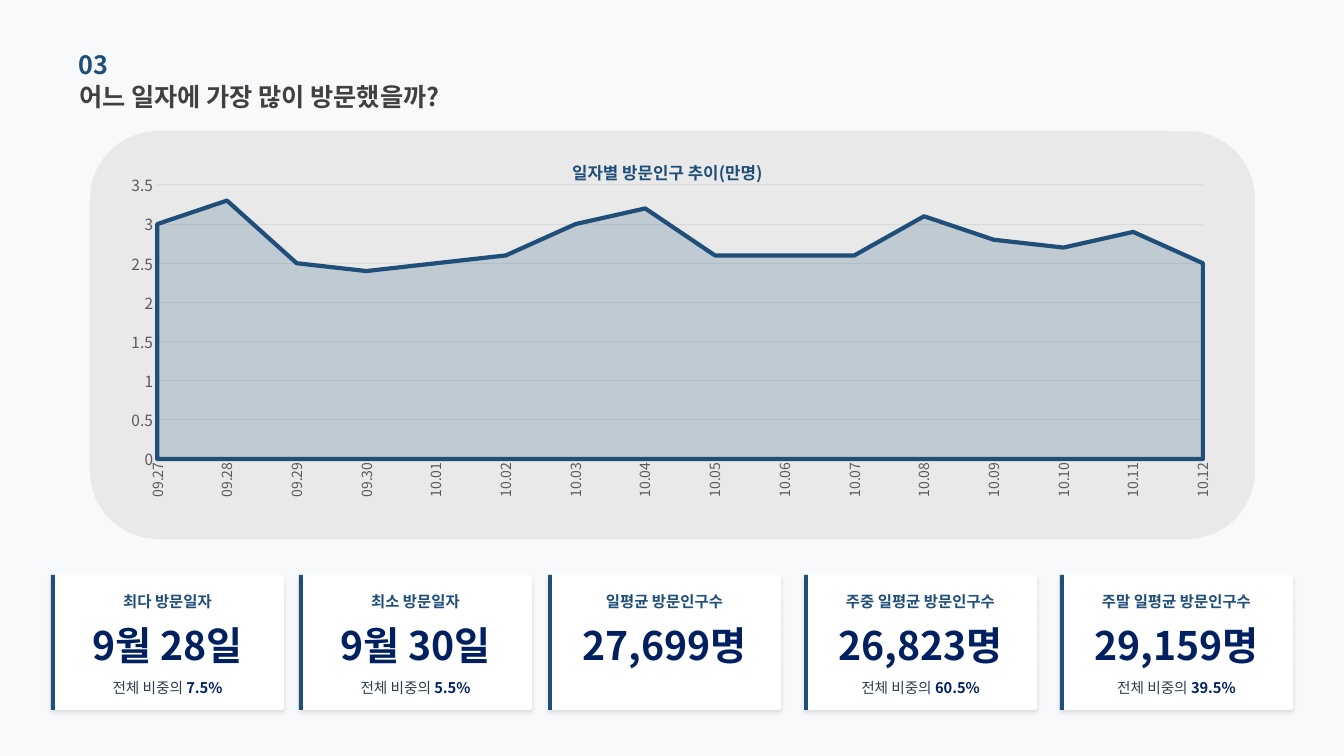
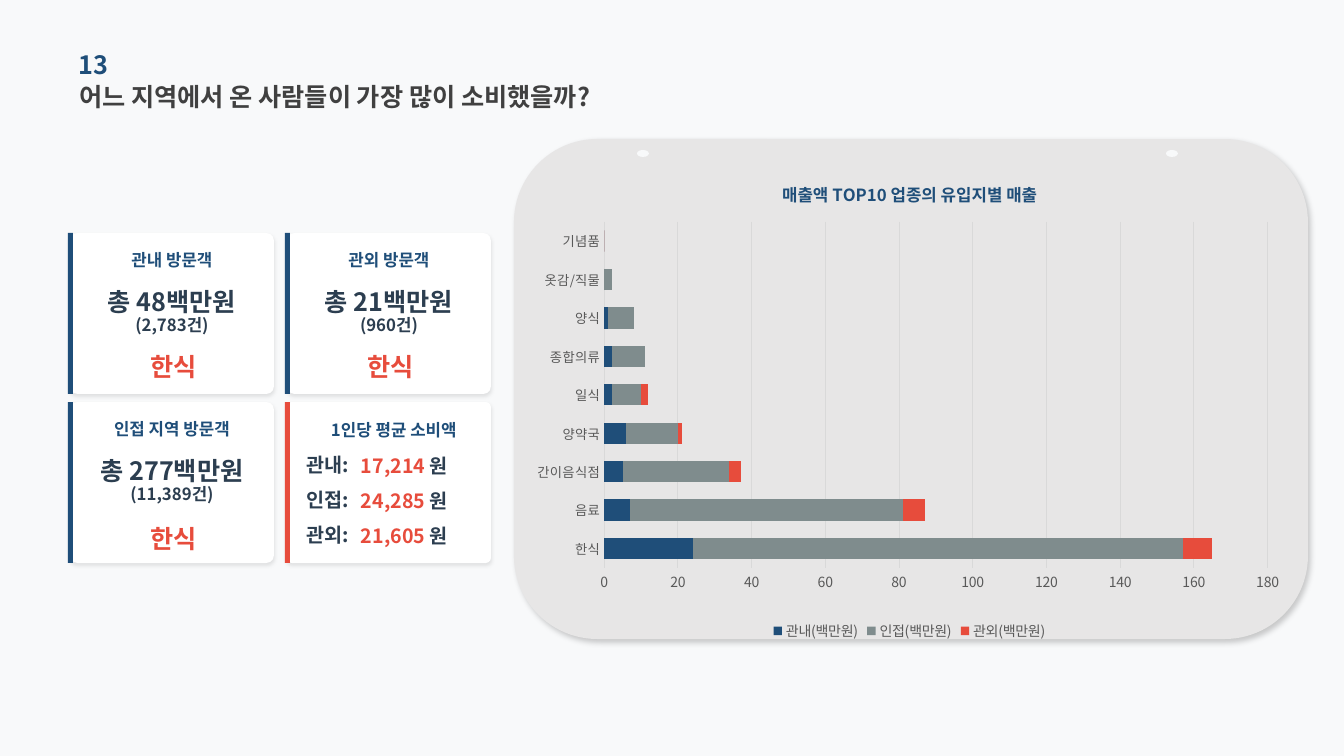
import pptx
import pptx.chart.data
import pptx.dml.color
import pptx.enum.chart
import pptx.enum.shapes
import pptx.enum.text
import pptx.oxml.ns
import pptx.util
from lxml import etree

EMU_PER_PX = 914400 / 100.8
SLIDE_W, SLIDE_H = 1344, 756
FONT = "Noto Sans CJK KR"
COLORS = {
    "page": "F8F9FA", "navy": "1F4E79", "deep": "002060", "ink": "2C3E50",
    "heading": "404040", "red": "E74C3C", "gray": "7F8C8D", "label": "595959",
    "rule": "D9D9D9", "white": "FFFFFF", "panel": "E7E6E6", "haze": "D0CECE",
    "black": "000000",
}
FORMATS = {
    "number": {"size": 18, "color": "navy", "bold": True},
    "heading": {"size": 18, "color": "heading", "bold": True},
    "caption": {"size": 11, "color": "navy", "bold": True},
    "figure": {"size": 28, "color": "deep", "bold": True},
    "note": {"size": 10.5, "color": "ink", "bold": False},
    "share": {"size": 10.5, "color": "deep", "bold": True},
    "card_title": {"size": 12, "color": "navy", "bold": True},
    "total": {"size": 18, "color": "ink", "bold": True},
    "count": {"size": 12, "color": "ink", "bold": True},
    "genre": {"size": 18, "color": "red", "bold": True},
    "region": {"size": 14, "color": "ink", "bold": True},
    "amount": {"size": 14, "color": "red", "bold": True},
    "axis_10": {"size": 10, "color": "label", "bold": False},
    "axis_9": {"size": 9.5, "color": "label", "bold": False},
    "axis_11": {"size": 11, "color": "label", "bold": False},
    "chart_title": {"size": 12, "color": "navy", "bold": True},
}
SHAPES = pptx.enum.shapes.MSO_SHAPE
ALIGN = pptx.enum.text.PP_ALIGN
CHARTS = pptx.enum.chart
qn = pptx.oxml.ns.qn


# Shared helpers
def px(length):
    return pptx.util.Emu(round(length * EMU_PER_PX))


def rgb(name):
    return pptx.dml.color.RGBColor.from_string(COLORS[name])


def apply_format(font, name):
    values = FORMATS[name]
    settings = {"size": pptx.util.Pt(values["size"]), "bold": values["bold"], "name": FONT}
    for attribute, value in settings.items():
        setattr(font, attribute, value)
    font.color.rgb = rgb(values["color"])
    east_asian = etree.Element(qn("a:ea"), typeface=FONT)
    font._rPr.find(qn("a:latin")).addnext(east_asian)


def add_alpha(fill, percent):
    color = fill._xPr.find(qn("a:solidFill"))[0]
    etree.SubElement(color, qn("a:alpha"), val=str(percent * 1000))


def add_block(slide, kind, box, color, radius=None, alpha=None, shadow=None):
    block = slide.shapes.add_shape(kind, *map(px, box))
    block.shadow.inherit = False
    block.fill.solid()
    block.fill.fore_color.rgb = rgb(color)
    block.line.fill.background()
    if radius is not None:
        block.adjustments[0] = radius
    if alpha is not None:
        add_alpha(block.fill, alpha)
    if shadow:
        opacity, blur, distance, angle = shadow
        effects = block._element.spPr.find(qn("a:effectLst"))
        outer = etree.SubElement(
            effects, qn("a:outerShdw"), blurRad=str(blur * 12700),
            dist=str(distance * 12700), dir=str(angle * 60000), algn="tl", rotWithShape="0")
        tint = etree.SubElement(outer, qn("a:srgbClr"), val=COLORS["black"])
        etree.SubElement(tint, qn("a:alpha"), val=str(opacity * 1000))


def add_text(slide, box, lines, align=ALIGN.CENTER):
    """Each line is a list of (text, format name) runs."""
    frame = slide.shapes.add_textbox(*map(px, box)).text_frame
    settings = {
        "word_wrap": True, "vertical_anchor": pptx.enum.text.MSO_ANCHOR.MIDDLE,
        "margin_left": 0, "margin_right": 0, "margin_top": 0, "margin_bottom": 0,
    }
    for attribute, value in settings.items():
        setattr(frame, attribute, value)
    paragraph = frame.paragraphs[0]
    paragraph.alignment = align
    if len(lines) > 1:
        paragraph.line_spacing = 0.9
    for index, runs in enumerate(lines):
        if index:
            paragraph.add_line_break()
        for text, name in runs:
            run = paragraph.add_run()
            run.text = text
            apply_format(run.font, name)


def add_page(deck, number, heading):
    slide = deck.slides.add_slide(deck.slide_layouts[6])
    slide.background.fill.solid()
    slide.background.fill.fore_color.rgb = rgb("page")
    add_text(slide, (79, 44, 456, 41), [[(number, "number")]], ALIGN.LEFT)
    add_text(slide, (79, 76, 540, 41), [[(heading, "heading")]], ALIGN.LEFT)
    return slide


def add_card(slide, box, radius, accent, accent_box):
    left, top, _, height = box
    offset, width = accent_box
    add_block(slide, SHAPES.ROUNDED_RECTANGLE, box, "white", radius, shadow=(10, 3, 2, 90))
    add_block(slide, SHAPES.RECTANGLE, (left + offset, top, width, height), accent)


# Charts
def make_layout(values, inner=False):
    layout = etree.Element(qn("c:layout"))
    manual = etree.SubElement(layout, qn("c:manualLayout"))
    if inner:
        etree.SubElement(manual, qn("c:layoutTarget"), val="inner")
    for tag in ("xMode", "yMode"):
        etree.SubElement(manual, qn("c:" + tag), val="edge")
    for tag, value in zip("xywh", values):
        etree.SubElement(manual, qn("c:" + tag), val=str(value))
    return layout


def drop_layout(parent):
    for layout in parent.findall(qn("c:layout")):
        parent.remove(layout)


def add_styled_chart(slide, kind, box, categories, series, title, title_at, plot_at,
                     category_format, value_format, top_value, step):
    data = pptx.chart.data.CategoryChartData()
    data.categories = categories
    for name, values in series:
        data.add_series(name, values)
    chart = slide.shapes.add_chart(kind, *map(px, box), data).chart
    apply_format(chart.font, "axis_10")
    chart.has_legend = False
    chart.plots[0].vary_by_categories = False

    # Title and plot placement
    chart.has_title = True
    frame = chart.chart_title.text_frame
    frame.text = title
    apply_format(frame.paragraphs[0].runs[0].font, "chart_title")
    title_element = chart.chart_title._element
    drop_layout(title_element)
    title_element.find(qn("c:tx")).addnext(make_layout(title_at))
    chart_element = chart.element.find(qn("c:chart"))
    plot_area = chart_element.find(qn("c:plotArea"))
    drop_layout(plot_area)
    plot_area.insert(0, make_layout(plot_at, inner=True))

    # Clear background
    background = etree.Element(qn("c:spPr"))
    etree.SubElement(background, qn("a:noFill"))
    border = etree.SubElement(background, qn("a:ln"))
    etree.SubElement(border, qn("a:noFill"))
    chart_element.addnext(background)

    # Axes
    value_axis = chart.value_axis
    limits = {"minimum_scale": 0, "maximum_scale": top_value, "major_unit": step,
              "has_major_gridlines": True}
    for attribute, value in limits.items():
        setattr(value_axis, attribute, value)
    for axis, name in ((chart.category_axis, category_format), (value_axis, value_format)):
        axis.major_tick_mark = CHARTS.XL_TICK_MARK.NONE
        axis.minor_tick_mark = CHARTS.XL_TICK_MARK.NONE
        apply_format(axis.tick_labels.font, name)
    value_axis.format.line.fill.background()
    for line in (chart.category_axis.format.line, value_axis.major_gridlines.format.line):
        line.color.rgb = rgb("rule")
        line.width = pptx.util.Pt(0.75)
    return chart


def add_visitor_trend(slide, box):
    days = [f"09.{day:02}" for day in range(27, 31)] + [f"10.{day:02}" for day in range(1, 13)]
    visitors = (3, 3.3, 2.5, 2.4, 2.5, 2.6, 3, 3.2, 2.6, 2.6, 2.6, 3.1, 2.8, 2.7, 2.9, 2.5)
    left, top, width, height = box
    add_block(slide, SHAPES.ROUNDED_RECTANGLE, box, "haze", alpha=36)
    chart = add_styled_chart(
        slide, CHARTS.XL_CHART_TYPE.AREA, (left + 19, top + 3, width - 43, height + 3),
        days, [("방문인구", visitors)], "일자별 방문인구 추이(만명)",
        (0.41, 0.05), (0.043, 0.124, 0.932, 0.667), "axis_10", "axis_11", 3.5, 0.5)
    trend = chart.plots[0].series[0].format
    trend.fill.solid()
    trend.fill.fore_color.rgb = rgb("navy")
    add_alpha(trend.fill, 20)
    trend.line.color.rgb = rgb("navy")
    trend.line.width = pptx.util.Pt(3)
    labels = chart.category_axis._element.find(qn("c:txPr")).find(qn("a:bodyPr"))
    labels.set("rot", "-5400000")
    labels.set("vert", "horz")
    chart.value_axis._element.find(qn("c:crossBetween")).set("val", "midCat")


def add_sales_by_origin(slide, box):
    trades = ("한식", "음료", "간이음식점", "양약국", "일식", "종합의류", "양식", "옷감/직물", "기념품")
    sales = [
        ("관내(백만원)", (24, 7, 5, 6, 2, 2, 1, 0, 0)),
        ("인접(백만원)", (133, 74, 29, 14, 8, 9, 7, 2, 0)),
        ("관외(백만원)", (8, 6, 3, 1, 2, 0, 0, 0, 0)),
    ]
    left, top, width, height = box
    add_block(slide, SHAPES.ROUNDED_RECTANGLE, box, "panel", shadow=(20, 4, 3, 45))
    for offset in (123, 652):
        add_block(slide, SHAPES.OVAL, (left + offset, top + 11, 12, 7), "page")
    chart = add_styled_chart(
        slide, CHARTS.XL_CHART_TYPE.BAR_STACKED, (left + 12, top + 18, width - 27, height - 12),
        trades, sales, "매출액 TOP10 업종의 유입지별 매출",
        (0.33, 0.04), (0.102, 0.133, 0.865, 0.709), "axis_9", "axis_10", 180, 20)
    chart.plots[0].gap_width = 80
    chart.plots[0].overlap = 100
    for origin, color in zip(chart.plots[0].series, ("navy", "gray", "red")):
        origin.format.fill.solid()
        origin.format.fill.fore_color.rgb = rgb(color)
    chart.has_legend = True
    chart.legend.position = CHARTS.XL_LEGEND_POSITION.BOTTOM
    chart.legend.include_in_layout = False
    apply_format(chart.legend.font, "axis_10")


# Cards
def add_summary_card(slide, box, caption, figure, share):
    left, top, width, _ = box
    add_card(slide, box, 0.018, "navy", (0, 4))
    add_text(slide, (left, top + 15, width, 22), [[(caption, "caption")]])
    add_text(slide, (left, top + 51, width, 38), [[(figure, "figure")]])
    if share:
        add_text(slide, (left, top + 102, width, 21),
                 [[("전체 비중의 ", "note"), (share, "share")]])


def add_origin_card(slide, box, caption, total, count, genre_top):
    left, top, width, _ = box
    add_card(slide, box, 0.048, "navy", (-2, 5))
    add_text(slide, (left, top + 11, width, 31), [[(caption, "card_title")]])
    add_text(slide, (left, top + 56, width, 47), [[(total, "total")], [(count, "count")]])
    add_text(slide, (left + 2, top + genre_top, width, 47), [[("한식", "genre")]])


def add_average_card(slide, box):
    left, top, _, _ = box
    add_card(slide, box, 0.032, "red", (-2, 5))
    add_text(slide, (left + 44, top + 15, 150, 25), [[("1인당 평균 소비액", "card_title")]], ALIGN.LEFT)
    averages = (("관내:", "17,214 "), ("인접:", "24,285 "), ("관외:", "21,605 "))
    for row, (region, amount) in enumerate(averages):
        row_top = top + 48 + 35 * row
        add_text(slide, (left + 19, row_top, 59, 30), [[(region, "region")]], ALIGN.LEFT)
        add_text(slide, (left + 74, row_top + 1, 125, 29),
                 [[(amount, "amount"), ("원", "region")]], ALIGN.LEFT)


# Slides
def build_visit_days(deck):
    slide = add_page(deck, "03", "어느 일자에 가장 많이 방문했을까?")
    add_visitor_trend(slide, (90, 131, 1165, 408))
    summaries = (
        (51, "최다 방문일자", "9월 28일", "7.5%"),
        (299, "최소 방문일자", "9월 30일", "5.5%"),
        (548, "일평균 방문인구수", "27,699명", None),
        (804, "주중 일평균 방문인구수", "26,823명", "60.5%"),
        (1060, "주말 일평균 방문인구수", "29,159명", "39.5%"),
    )
    for left, *content in summaries:
        add_summary_card(slide, (left, 575, 233, 135), *content)


def build_spending(deck):
    slide = add_page(deck, "13", "어느 지역에서 온 사람들이 가장 많이 소비했을까?")
    add_sales_by_origin(slide, (514, 139, 794, 500))
    cells = [(70 + 217 * column, 233 + 169 * row, 204, 161)
             for row in range(2) for column in range(2)]
    origins = (
        ("관내 방문객", "총 48백만원", "(2,783건)", 110),
        ("관외 방문객", "총 21백만원", "(960건)", 110),
        ("인접 지역 방문객", "총 277백만원", "(11,389건)", 113),
    )
    for cell, content in zip(cells, origins):
        add_origin_card(slide, cell, *content)
    add_average_card(slide, cells[-1])


def main():
    deck = pptx.Presentation()
    deck.slide_width, deck.slide_height = px(SLIDE_W), px(SLIDE_H)
    build_visit_days(deck)
    build_spending(deck)
    deck.save("out.pptx")


if __name__ == "__main__":
    main()
